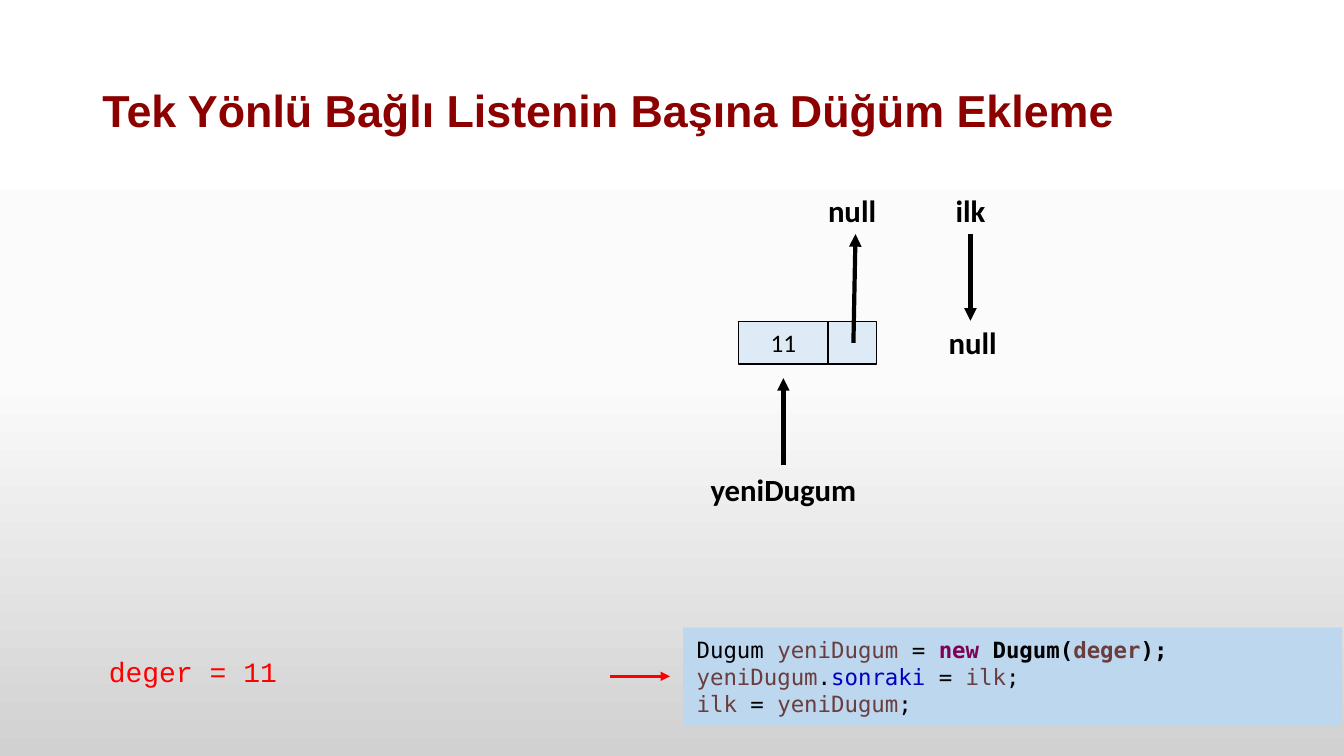
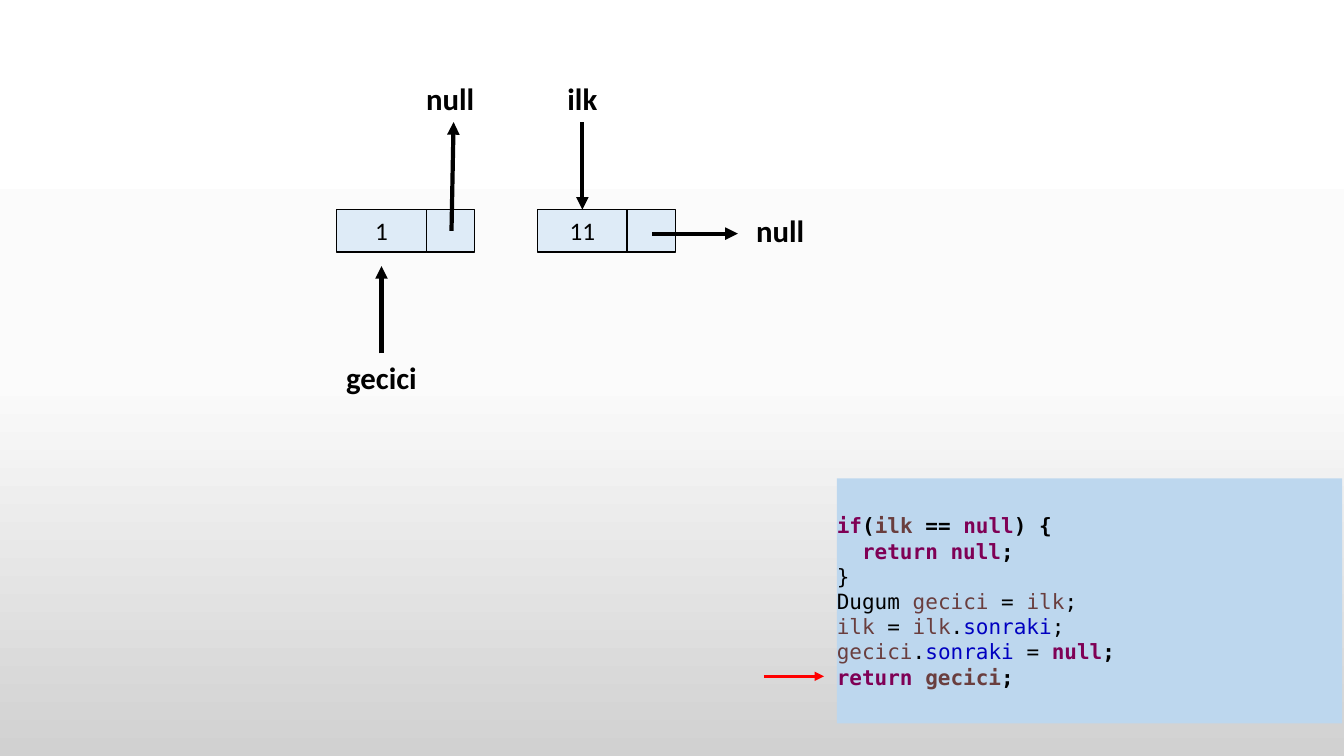
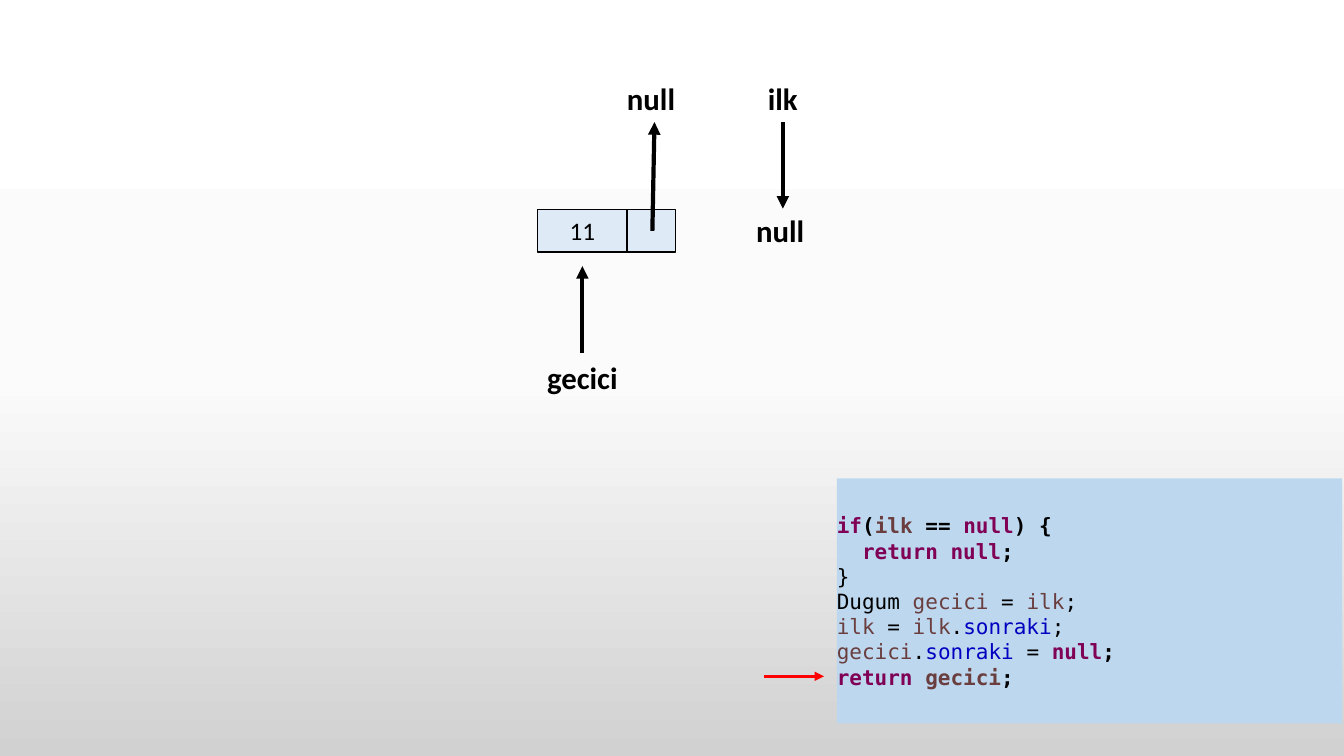
import copy
from dataclasses import dataclass

from lxml import etree
from pptx import Presentation
from pptx import util as u
from pptx.dml import color
from pptx.enum import shapes, text
from pptx.oxml import ns

Pt = u.Pt

COLORS = {
    "black": "000000",
    "title": "8C0000",
    "red": "FF0000",
    "cell": "DEEBF7",
    "code": "BDD7EE",
    "name": "6A3E3E",
    "keyword": "7F0055",
    "field": "0000C0",
}
BACKGROUND = [(0, "FFFFFF"), (0.5, "FBFBFB"), (1, "D1D1D1")]
LABEL_WIDTHS = {"ilk": 36, "null": 49, "gecici": 65.5, "yeniDugum": 119.5}
LABEL_H = 33.8
DATA_W, LINK_W, NODE_H = 64, 34.5, 30.2
ABOVE = 96.4
MONO = "DejaVu Sans Mono"


@dataclass(frozen=True)
class Tok:
    text: str
    color: str = "black"
    bold: bool = False


@dataclass(frozen=True)
class Node:
    x: float
    y: float
    value: str


@dataclass(frozen=True)
class Box:
    x: float
    y: float
    w: float
    h: float


INSERT_CODE = [
    [Tok(" Dugum "), Tok("yeniDugum", "name"), Tok(" = "), Tok("new ", "keyword", True),
     Tok("Dugum(", bold=True), Tok("deger", "name", True), Tok(");", bold=True)],
    [Tok(" "), Tok("yeniDugum", "name"), Tok("."), Tok("sonraki", "field"), Tok(" = "),
     Tok("ilk", "name"), Tok(";")],
    [Tok(" "), Tok("ilk", "name"), Tok(" = "), Tok("yeniDugum", "name"), Tok(";")],
]
REMOVE_CODE = [
    [Tok("if", "keyword", True), Tok("(", bold=True), Tok("ilk", "name", True),
     Tok(" == ", bold=True), Tok("null", "keyword", True), Tok(") {", bold=True)],
    [Tok("  return null", "keyword", True), Tok(";", bold=True)],
    [Tok("}")],
    [Tok("Dugum "), Tok("gecici", "name"), Tok(" = "), Tok("ilk", "name"), Tok(";")],
    [Tok("ilk", "name"), Tok(" = "), Tok("ilk", "name"), Tok("."), Tok("sonraki", "field"),
     Tok(";")],
    [Tok("gecici", "name"), Tok("."), Tok("sonraki", "field"), Tok(" = "),
     Tok("null", "keyword", True), Tok(";", bold=True)],
    [Tok("return ", "keyword", True), Tok("gecici", "name", True), Tok(";", bold=True)],
]


def rgb(name: str) -> color.RGBColor:
    return color.RGBColor.from_string(COLORS[name])


def add_run(p, tok: Tok, size: float, font: str) -> None:
    r = p.add_run()
    r.text = tok.text
    r.font.name = font
    r.font.size = Pt(size)
    r.font.bold = tok.bold
    r.font.color.rgb = rgb(tok.color)


def set_background(master) -> None:
    fill = master.background.fill
    fill.gradient()
    fill.gradient_angle = 270
    stops = master.element.find(".//" + ns.qn("a:gsLst"))
    stops.append(copy.deepcopy(stops[-1]))
    for stop, (position, value) in zip(fill.gradient_stops, BACKGROUND):
        stop.position = position
        stop.color.rgb = color.RGBColor.from_string(value)


def add_title(s, wording: str) -> None:
    sp = s.shapes.title
    sp.left, sp.top, sp.width, sp.height = Pt(66), Pt(28.8), Pt(828), Pt(104.4)
    tf = sp.text_frame
    tf.vertical_anchor = text.MSO_ANCHOR.MIDDLE
    p = tf.paragraphs[0]
    p.alignment = text.PP_ALIGN.LEFT
    p.line_spacing = 0.9
    add_run(p, Tok(wording, "title", True), 32, "Arial")


def add_text(s, box: Box, tok: Tok, size: float, font: str, align):
    sp = s.shapes.add_textbox(Pt(box.x), Pt(box.y), Pt(box.w), Pt(box.h))
    tf = sp.text_frame
    tf.word_wrap = False
    tf.auto_size = text.MSO_AUTO_SIZE.SHAPE_TO_FIT_TEXT
    p = tf.paragraphs[0]
    p.alignment = align
    add_run(p, tok, size, font)
    return sp


def add_label(s, wording: str, cx: float, y: float):
    w = LABEL_WIDTHS[wording]
    return add_text(s, Box(cx - w / 2, y, w, LABEL_H), Tok(wording, bold=True), 22,
                    "Calibri", text.PP_ALIGN.CENTER)


def add_arrow(s, x1: float, y1: float, x2: float, y2: float,
              ink: str = "black", width: float = 3):
    c = s.shapes.add_connector(shapes.MSO_CONNECTOR.STRAIGHT, Pt(x1), Pt(y1), Pt(x2), Pt(y2))
    c.line.color.rgb = rgb(ink)
    c.line.width = Pt(width)
    etree.SubElement(c.get_or_add_ln(), ns.qn("a:tailEnd"), type="triangle")
    etree.SubElement(c.element.spPr, ns.qn("a:effectLst"))
    return c


def add_rect(parent, box: Box, fill: str):
    sp = parent.shapes.add_shape(shapes.MSO_SHAPE.RECTANGLE,
                                 Pt(box.x), Pt(box.y), Pt(box.w), Pt(box.h))
    sp.shadow.inherit = False
    sp.fill.solid()
    sp.fill.fore_color.rgb = rgb(fill)
    sp.line.fill.background()
    sp.text_frame.vertical_anchor = text.MSO_ANCHOR.MIDDLE
    return sp


def add_node(s, node: Node):
    group = s.shapes.add_group_shape()
    data = add_rect(group, Box(node.x, node.y, DATA_W, NODE_H), "cell")
    link = add_rect(group, Box(node.x + DATA_W, node.y, LINK_W, NODE_H), "cell")
    for sp in (data, link):
        sp.line.color.rgb = rgb("black")
        sp.line.width = Pt(1)
    p = data.text_frame.paragraphs[0]
    p.alignment = text.PP_ALIGN.CENTER
    add_run(p, Tok(node.value), 18, "Calibri")
    return data


def add_detached_node(s, node: Node, name: str) -> None:
    x, y = node.x, node.y
    add_node(s, node)
    add_label(s, "null", x + 81, y - ABOVE)
    add_arrow(s, x + 82, y + NODE_H / 2, x + 83.5, y - ABOVE + LABEL_H)
    cx = x + DATA_W / 2
    label = add_label(s, name, cx, y + 102.6)
    add_arrow(s, cx, y + 102.6, cx, y + 40.3).begin_connect(label, 0)


def add_head(s, cx: float, y: float):
    label = add_label(s, "ilk", cx, y - ABOVE)
    c = add_arrow(s, cx, y - ABOVE + LABEL_H, cx, y - 0.7)
    c.begin_connect(label, 2)
    return c


def add_code(s, box: Box, lines: list[list[Tok]], size: float) -> None:
    tf = add_rect(s, box, "code").text_frame
    tf.word_wrap = True
    tf.margin_left = tf.margin_right = 0
    tf.margin_top = tf.margin_bottom = Pt(5.8)
    for i, line in enumerate(lines):
        p = tf.add_paragraph() if i else tf.paragraphs[0]
        p.alignment = text.PP_ALIGN.LEFT
        for tok in line:
            add_run(p, tok, size, MONO)


def add_step_arrow(s, x: float) -> None:
    add_arrow(s, x, 483.1, x + 43, 483.1, "red", 2.25)


def add_remove_code(s) -> None:
    add_code(s, Box(597.8, 341.8, 360.9, 175), REMOVE_CODE, 15)
    add_step_arrow(s, 545.6)


def main() -> None:
    prs = Presentation()
    prs.slide_width, prs.slide_height = Pt(960), Pt(540)
    set_background(prs.slide_master)
    title_only, blank = prs.slide_layouts[5], prs.slide_layouts[6]

    s = prs.slides.add_slide(title_only)
    add_title(s, "Tek Yönlü Bağlı Listenin Başına Düğüm Ekleme")
    add_code(s, Box(488, 448.3, 470.7, 69.6), INSERT_CODE, 16)
    add_head(s, 693.2, 229.8)
    add_label(s, "null", 694.8, 227.6)
    add_detached_node(s, Node(527.6, 229.8, "11"), "yeniDugum")
    add_text(s, Box(70.6, 463.7, 135.4, 31.7), Tok("deger = 11", "red"), 20,
             "Courier New", text.PP_ALIGN.LEFT)
    add_step_arrow(s, 435.6)

    y = 149.8
    s = prs.slides.add_slide(blank)
    add_remove_code(s)
    first = Node(384, y, "11")
    data = add_node(s, first)
    add_head(s, first.x + DATA_W / 2, y).end_connect(data, 0)
    mid = y + NODE_H / 2 + 2
    add_arrow(s, first.x + 82, mid, 527, mid)
    add_label(s, "null", 557.3, 147.6)
    add_detached_node(s, Node(240.5, y, "1"), "gecici")

    s = prs.slides.add_slide(blank)
    add_remove_code(s)
    add_head(s, 559.2, y)
    add_label(s, "null", 557.3, 147.6)
    add_detached_node(s, first, "gecici")

    prs.save("out.pptx")


if __name__ == "__main__":
    main()
